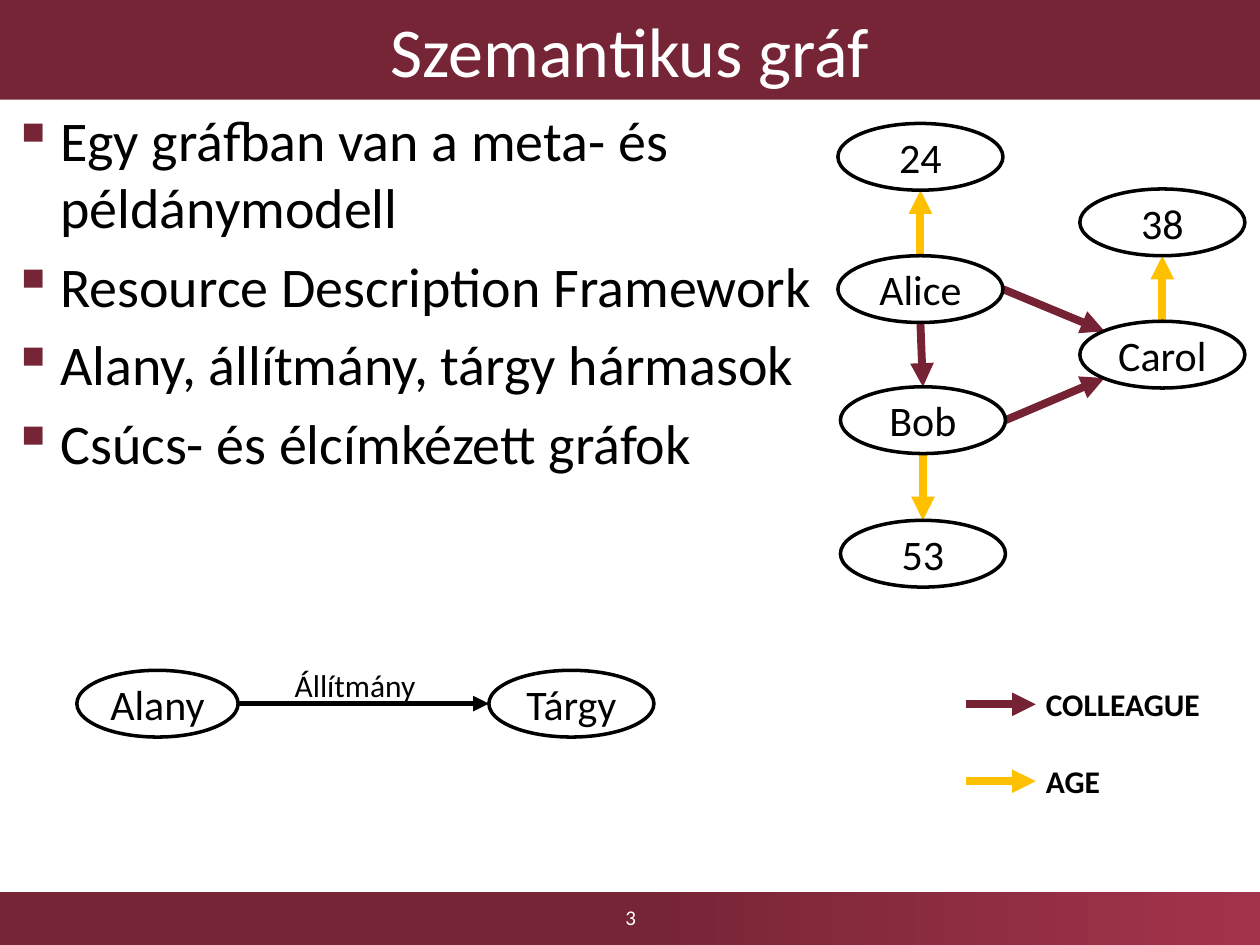
import pptx
import pptx.util
import pptx.dml.color
import pptx.enum.shapes
import pptx.enum.text
import pptx.oxml.ns
import lxml.etree

Inches, Pt = pptx.util.Inches, pptx.util.Pt
Kind = pptx.enum.shapes.MSO_SHAPE
Align = pptx.enum.text.PP_ALIGN
Anchor = pptx.enum.text.MSO_ANCHOR

WINE, DARK, ROSE, GOLD = "762536", "752234", "A3334B", "FFC000"
BLACK, WHITE = "000000", "FFFFFF"

title = "Szemantikus gráf"
points = [
    "Egy gráfban van a meta- és példánymodell",
    "Resource Description Framework",
    "Alany, állítmány, tárgy hármasok",
    "Csúcs- és élcímkézett gráfok",
]
WIDE, HIGH = 1.31, 0.53
nodes = {
    "Alice": (6.65, 2.03, WIDE),
    "Bob": (6.67, 3.07, WIDE),
    "Carol": (8.57, 2.55, WIDE),
    "24": (6.65, 0.98, WIDE),
    "53": (6.67, 4.13, WIDE),
    "38": (8.57, 1.5, WIDE),
    "Alany": (0.61, 5.32, 1.28),
    "Tárgy": (3.88, 5.32, WIDE),
}
sides = {
    "top": (0.5, 0), "low": (0.5, 1), "left": (0, 0.5), "right": (1, 0.5),
    "upleft": (0.15, 0.15), "lowleft": (0.15, 0.85),
}
edges = [
    ("Alice", "low", "Bob", "top", DARK, 4.5),
    ("Alice", "right", "Carol", "upleft", DARK, 4.5),
    ("Bob", "right", "Carol", "lowleft", DARK, 4.5),
    ("Alice", "top", "24", "low", GOLD, 4.5),
    ("Carol", "top", "38", "low", GOLD, 4.5),
    ("Bob", "low", "53", "top", GOLD, 4.5),
    ("Alany", "right", "Tárgy", "left", BLACK, 3),
]
legend = [("COLLEAGUE", DARK, 5.59), ("AGE", GOLD, 6.2)]

deck = pptx.Presentation()
deck.slide_width, deck.slide_height = Inches(10), Inches(7.5)
slide = deck.slides.add_slide(deck.slide_layouts[6])
shapes = slide.shapes


def paint(hue):
    return pptx.dml.color.RGBColor.from_string(hue)


def sub(node, tag, **attrs):
    return lxml.etree.SubElement(node, pptx.oxml.ns.qn(tag), attrs)


def write(shape, text, size=24, hue=BLACK, bold=False, align=Align.CENTER,
          anchor=Anchor.MIDDLE, inset=None, bullet=False):
    frame = shape.text_frame
    frame.word_wrap = True
    frame.vertical_anchor = anchor
    if inset is not None:
        frame.margin_left = frame.margin_right = Inches(inset)
        frame.margin_top = frame.margin_bottom = Inches(inset)
    lines = text if isinstance(text, list) else [text]
    for num, line in enumerate(lines):
        para = frame.add_paragraph() if num else frame.paragraphs[0]
        para.alignment = align
        run = para.add_run()
        run.text = line
        font = run.font
        font.name, font.size, font.bold = "Calibri", Pt(size), bold
        font.color.rgb = paint(hue)
        if bullet:
            para.space_before = Pt(size * 0.2)
            props = para._p.get_or_add_pPr()
            props.set("marL", str(Inches(0.38)))
            props.set("indent", str(-Inches(0.38)))
            sub(sub(props, "a:buClr"), "a:srgbClr", val=WINE)
            sub(props, "a:buChar", char="▪")


def box(x, y, w, h):
    return shapes.add_textbox(Inches(x), Inches(y), Inches(w), Inches(h))


def form(kind, x, y, w, h, fill=None, line=None):
    shape = shapes.add_shape(kind, Inches(x), Inches(y), Inches(w), Inches(h))
    shape.shadow.inherit = False
    if fill:
        shape.fill.solid()
        shape.fill.fore_color.rgb = paint(fill)
    if line:
        shape.line.color.rgb = paint(line)
        shape.line.width = Pt(2)
    else:
        shape.line.fill.background()
    return shape


def arrow(start, end, hue, width):
    ends = [Inches(n) for n in (*start, *end)]
    link = shapes.add_connector(pptx.enum.shapes.MSO_CONNECTOR.STRAIGHT, *ends)
    link.line.color.rgb = paint(hue)
    link.line.width = Pt(width)
    sub(link.line._get_or_add_ln(), "a:tailEnd", type="triangle")
    sub(link._element.spPr, "a:effectLst")


def spot(name, side):
    x, y, w = nodes[name]
    across, down = sides[side]
    return x + w * across, y + HIGH * down


foot = form(Kind.RECTANGLE, 0, 7.08, 10, 0.42)
foot.fill.gradient()
foot.fill.gradient_angle = 0
for stop, (place, hue) in zip(foot.fill.gradient_stops, [(0.5, WINE), (1, ROSE)]):
    stop.position = place
    stop.color.rgb = paint(hue)
write(box(3.88, 7.08, 2.25, 0.4), "3", size=12, hue=WHITE)

head = form(Kind.RECTANGLE, 0, 0, 10, 0.79, fill=WINE)
write(head, title, size=40, hue=WHITE)
write(box(0, 0.79, 6.75, 3.16), points, size=32, align=Align.LEFT,
      anchor=Anchor.TOP, bullet=True)

for start, out, end, into, hue, width in edges:
    arrow(spot(start, out), spot(end, into), hue, width)
for name, (x, y, w) in nodes.items():
    oval = form(Kind.OVAL, x, y, w, HIGH, fill=WHITE, line=BLACK)
    write(oval, name, inset=0)
write(box(2.24, 5.24, 1.63, 0.4), "Állítmány", size=18, align=Align.LEFT,
      anchor=Anchor.TOP)

for name, hue, y in legend:
    arrow((7.67, y), (8.22, y), hue, 4.5)
    write(box(8.3, y - 0.15, 1.48, 0.3), name, size=18, bold=True,
          align=Align.LEFT, anchor=Anchor.TOP, inset=0)

deck.save("out.pptx")
